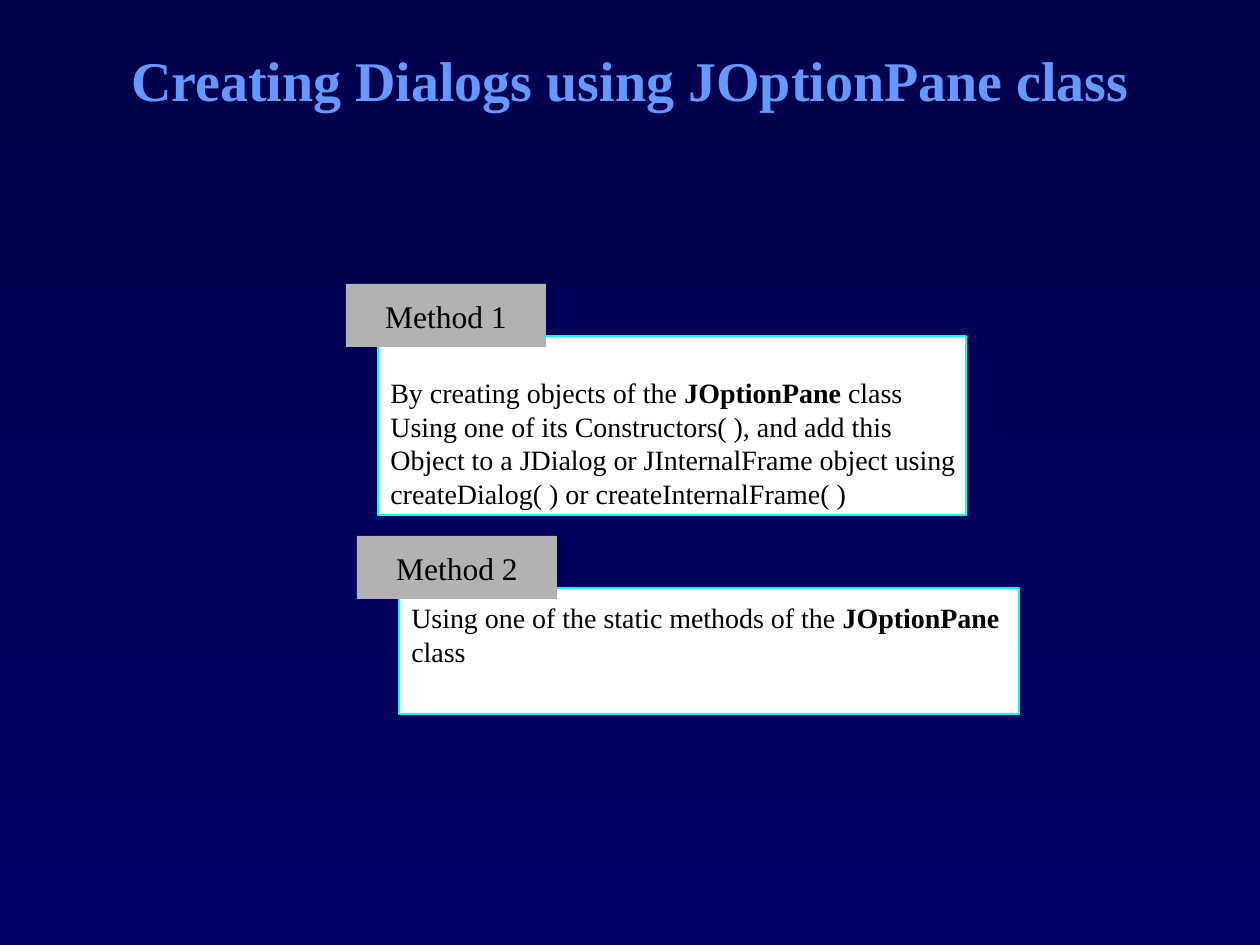
from dataclasses import dataclass

from pptx import Presentation
from pptx import util as u
from pptx.dml.color import RGBColor as Rgb
from pptx.enum import shapes, text

PX = u.Inches(1) / 126
TOP, MID, LOW = (text.MSO_ANCHOR.TOP, text.MSO_ANCHOR.MIDDLE,
                 text.MSO_ANCHOR.BOTTOM)
LEFT, CENTER = text.PP_ALIGN.LEFT, text.PP_ALIGN.CENTER


def emu(*px):
    return [u.Emu(round(n * PX)) for n in px]


@dataclass(frozen=True)
class Theme:
    font: str = "Times New Roman"
    night: str = "00004C"
    navy: str = "000066"
    blue: str = "6699FF"
    cyan: str = "00FFFF"
    gray: str = "B2B2B2"
    white: str = "FFFFFF"
    black: str = "000000"
    head: int = 32
    label: int = 18
    body: int = 16


class Deck:
    """Holds the theme and the current slide."""

    def __init__(self, theme):
        self.theme = theme
        self.prs = Presentation()
        self.prs.slide_width, self.prs.slide_height = emu(1260, 945)
        self.slide = self.prs.slides.add_slide(self.prs.slide_layouts[5])

    def back(self):
        fill = self.slide.background.fill
        fill.gradient()
        fill.gradient_angle = 270
        tones = self.theme.night, self.theme.navy
        for stop, tone, pos in zip(fill.gradient_stops, tones, (0, 1)):
            stop.color.rgb = Rgb.from_string(tone)
            stop.position = pos

    def words(self, frame, lines, size, color, align, bold=False):
        """Fill a frame; every second part of a line is bold."""
        for i, parts in enumerate(lines):
            para = frame.add_paragraph() if i else frame.paragraphs[0]
            para.alignment = align
            font = para.font
            font.name, font.size, font.bold = self.theme.font, u.Pt(size), bold
            font.color.rgb = Rgb.from_string(color)
            for j, part in enumerate(parts):
                run = para.add_run()
                run.text = part
                if j % 2:
                    run.font.bold = True

    def title(self, line, *box):
        shape = self.slide.shapes.title
        shape.left, shape.top, shape.width, shape.height = emu(*box)
        frame = shape.text_frame
        frame.vertical_anchor = MID
        self.words(frame, [[line]], self.theme.head, self.theme.blue,
                   CENTER, True)

    def rect(self, box, fill, line=None):
        shape = self.slide.shapes.add_shape(
            shapes.MSO_SHAPE.RECTANGLE, *emu(*box))
        shape.shadow.inherit = False
        shape.fill.solid()
        shape.fill.fore_color.rgb = Rgb.from_string(fill)
        if line:
            shape.line.color.rgb = Rgb.from_string(line)
            shape.line.width = u.Pt(0.75)
        else:
            shape.line.fill.background()
        return shape.text_frame

    def panel(self, box, lines, anchor, inset):
        frame = self.rect(box, self.theme.white, self.theme.cyan)
        frame.word_wrap = True
        frame.vertical_anchor = anchor
        frame.margin_right = 0
        frame.margin_top, frame.margin_bottom = emu(inset, inset)
        self.words(frame, lines, self.theme.body, self.theme.black, LEFT)

    def label(self, line, left, top):
        frame = self.rect((left, top, 200, 63), self.theme.gray)
        frame.vertical_anchor = MID
        self.words(frame, [[line]], self.theme.label, self.theme.black,
                   CENTER)


def main():
    deck = Deck(Theme())
    deck.back()
    deck.title("Creating Dialogs using JOptionPane class", 95, 0, 1071, 158)
    deck.panel((378, 336, 588, 179), [
        ["By creating objects of the ", "JOptionPane ", "class"],
        ["Using one of its Constructors( ), and add this"],
        ["Object to a JDialog or JInternalFrame object using"],
        ["createDialog( ) or createInternalFrame( )"],
    ], LOW, 5)
    deck.label("Method 1", 346, 284)
    deck.panel((399, 588, 620, 126), [
        ["Using one of the static methods of the ", "JOptionPane"],
        ["class"],
    ], TOP, 13)
    deck.label("Method 2", 357, 536)
    deck.prs.save("out.pptx")


if __name__ == "__main__":
    main()
